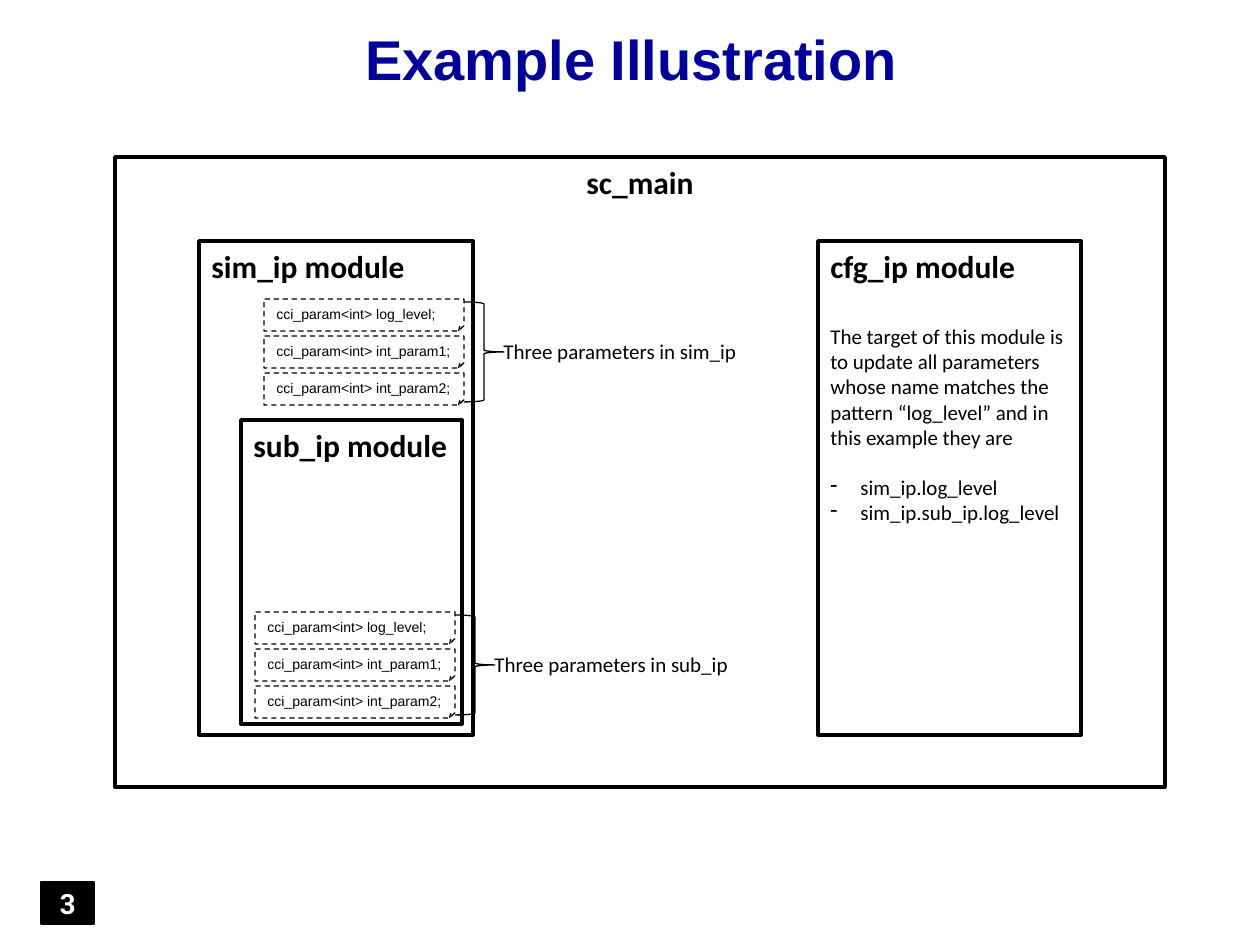
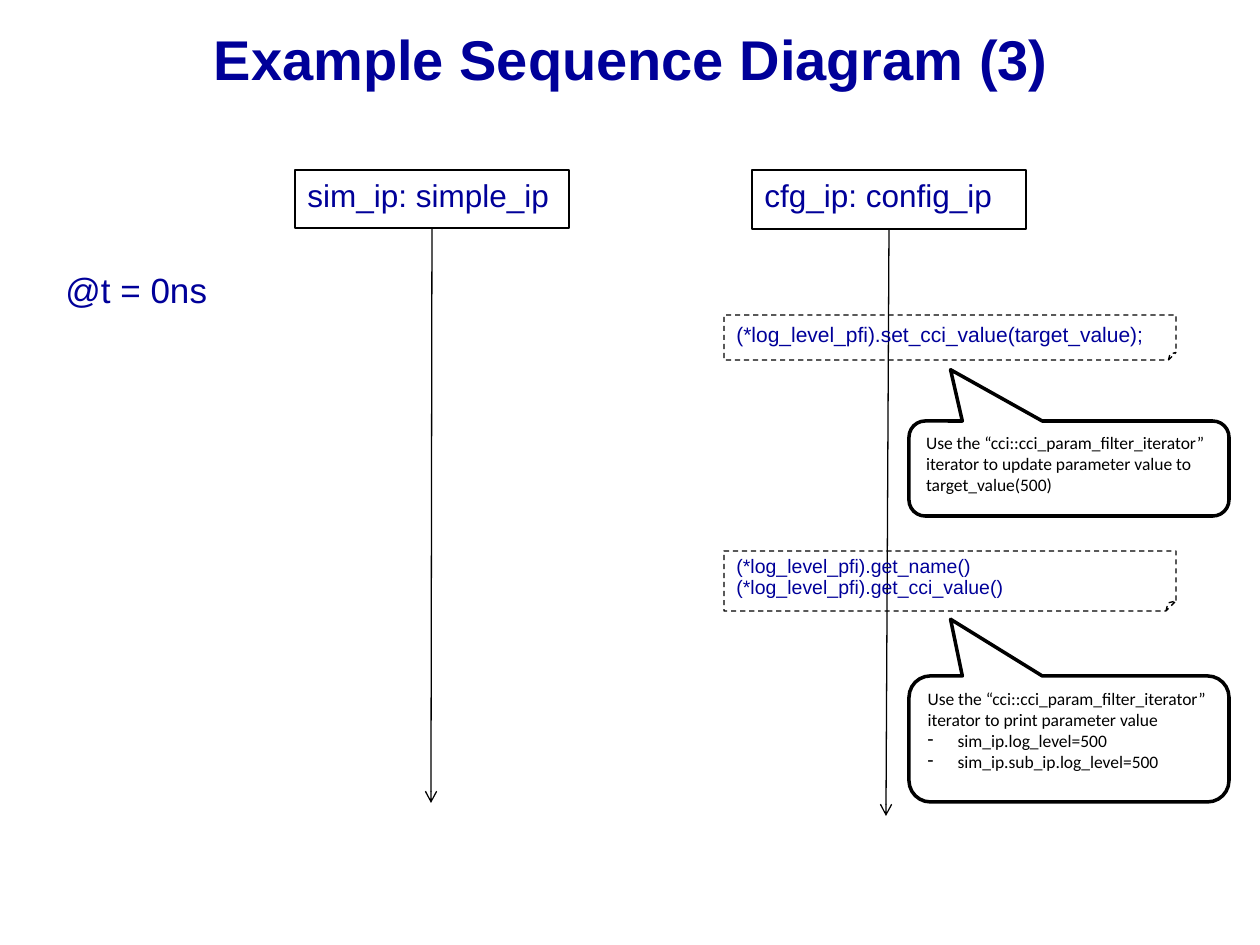
from dataclasses import dataclass

from lxml import etree
from pptx import Presentation
from pptx import util as u
from pptx.dml.color import RGBColor
from pptx.enum import dml, shapes, text
from pptx.oxml import ns

PX = u.Inches(1) / 126
KIND = shapes.MSO_SHAPE
LEFT, CENTER = text.PP_ALIGN.LEFT, text.PP_ALIGN.CENTER
TOP, MIDDLE = text.MSO_ANCHOR.TOP, text.MSO_ANCHOR.MIDDLE


@dataclass(frozen=True)
class Theme:
    navy: str = "000099"
    black: str = "000000"
    white: str = "FFFFFF"
    sans: str = "Arial"
    body: str = "Calibri"
    number: str = "Roboto Slab"
    title_pt: float = 32
    time_pt: float = 20
    heading_pt: float = 18
    number_pt: float = 16
    body_pt: float = 12
    calls_pt: float = 11.1
    callout_pt: float = 10
    code_pt: float = 8
    thin: float = 0.75
    thick: float = 2


T = Theme()


@dataclass(frozen=True)
class Style:
    size: float
    font: str = T.body
    color: str = T.black
    bold: bool = False
    spacing: float = 1


TITLE = Style(T.title_pt, T.sans, T.navy, True, 0.85)
NUMBER = Style(T.number_pt, T.number, T.white, True)
HEADING = Style(T.heading_pt, bold=True)
BODY = Style(T.body_pt)
CALLOUT = Style(T.callout_pt)
CODE = Style(T.code_pt, T.sans)
ACTOR = Style(T.heading_pt, T.sans, T.navy)
TIME = Style(T.time_pt, T.sans, T.navy)
CALL = Style(T.body_pt, T.sans, T.navy)
CALL_PAIR = Style(T.calls_pt, T.sans, T.navy, spacing=0.9)

# A paragraph is (text, style, bulleted, points of space before).
MODULES = [
    ((115, 157, 1050, 630), CENTER, [("sc_main", HEADING, False, 0)]),
    ((199, 241, 274, 494), LEFT, [("sim_ip module", HEADING, False, 0)]),
    ((818, 241, 263, 494), LEFT, [
        ("cfg_ip module", HEADING, False, 0),
        ("The target of this module is to update all parameters whose name "
         "matches the pattern “log_level” and in this example they are",
         BODY, False, 22),
        ("sim_ip.log_level", BODY, True, 14.4),
        ("sim_ip.sub_ip.log_level", BODY, True, 0),
    ]),
    ((241, 420, 221, 304), LEFT, [("sub_ip module", HEADING, False, 0)]),
]
PARAMETERS = ["log_level", "int_param1", "int_param2"]
PARAMETER_GROUPS = [("sim_ip", 264, 299), ("sub_ip", 255, 612)]

ACTORS = [
    ("sim_ip: simple_ip", (295, 170, 274, 58), (432, 228, 431, 803)),
    ("cfg_ip: config_ip", (752, 170, 274, 59), (889, 229, 886, 816)),
]
TIME_MARK = ("@t = 0ns", (53, 262, 180, 55))
STEPS = [
    {"calls": ["(*log_level_pfi).set_cci_value(target_value);"],
     "style": CALL, "call_y": (315, 45),
     "callout_y": (421, 95), "pointer": -1.04,
     "notes": [("Use the “cci::cci_param_filter_iterator” iterator to update "
                "parameter value to target_value(500)", CALLOUT, False, 0)]},
    {"calls": ["(*log_level_pfi).get_name()",
               "(*log_level_pfi).get_cci_value()"],
     "style": CALL_PAIR, "call_y": (551, 60),
     "callout_y": (676, 126), "pointer": -0.95,
     "notes": [("Use the “cci::cci_param_filter_iterator” iterator to print "
                "parameter value", CALLOUT, False, 0),
               ("sim_ip.log_level=500", CALLOUT, True, 0),
               ("sim_ip.sub_ip.log_level=500", CALLOUT, True, 0)]},
]
CALL_X, CALL_W = 724, 452
CALLOUT_X, CALLOUT_W = 909, 320


def emu(lengths):
    return [round(n * PX) for n in lengths]


def rgb(color):
    return RGBColor.from_string(color)


def add_bullet(paragraph, indent=30):
    props = paragraph._p.get_or_add_pPr()
    props.set("marL", str(round(indent * PX)))
    props.set("indent", str(-round(indent * PX)))
    etree.SubElement(props, ns.qn("a:buChar"), char="-")


def write(shape, paragraphs, align=LEFT, anchor=TOP):
    frame = shape.text_frame
    frame.word_wrap = True
    frame.vertical_anchor = anchor
    for i, (words, style, bulleted, before) in enumerate(paragraphs):
        para = frame.add_paragraph() if i else frame.paragraphs[0]
        if bulleted:
            add_bullet(para)
        para.alignment = align
        para.line_spacing = style.spacing
        if before:
            para.space_before = u.Pt(before)
        run = para.add_run()
        run.text = words
        run.font.size = u.Pt(style.size)
        run.font.name = style.font
        run.font.bold = style.bold
        run.font.color.rgb = rgb(style.color)


def add_label(slide, box, words, style, align=LEFT, anchor=TOP):
    label = slide.shapes.add_textbox(*emu(box))
    write(label, [(words, style, False, 0)], align, anchor)


def add_outline(slide, kind, box, fill=None, width=T.thin, adjust=()):
    shape = slide.shapes.add_shape(kind, *emu(box))
    shape.shadow.inherit = False
    for i, value in enumerate(adjust):
        shape.adjustments[i] = value
    if fill:
        shape.fill.solid()
        shape.fill.fore_color.rgb = rgb(fill)
    else:
        shape.fill.background()
    shape.line.color.rgb = rgb(T.black)
    shape.line.width = u.Pt(width)
    return shape


def add_code_note(slide, box, lines, style):
    note = add_outline(slide, KIND.FOLDED_CORNER, box)
    note.line.dash_style = dml.MSO_LINE.DASH
    write(note, [(line, style, False, 0) for line in lines])


def add_lifeline(slide, ends):
    line = slide.shapes.add_connector(shapes.MSO_CONNECTOR.STRAIGHT, *emu(ends))
    line.line.color.rgb = rgb(T.black)
    line.line.width = u.Pt(T.thin)
    etree.SubElement(line.line._get_or_add_ln(), ns.qn("a:tailEnd"), type="arrow")
    etree.SubElement(line._element.spPr, ns.qn("a:effectLst"))


def add_titled_slide(deck, title):
    slide = deck.slides.add_slide(deck.slide_layouts[6])
    add_label(slide, (33, 20, 1197, 86), title, TITLE, CENTER, MIDDLE)
    return slide


def add_parameter_group(slide, module, x, y, width=200, height=32, step=37):
    """Stack the parameter notes and brace them to a caption."""
    for i, name in enumerate(PARAMETERS):
        add_code_note(slide, (x, y + i * step, width, height),
                      [f"cci_param<int> {name};"], CODE)
    brace_x, brace_w = x + width, 40
    add_outline(slide, KIND.RIGHT_BRACE, (brace_x, y + 3, brace_w, 100),
                adjust=(0.05, 0.5))
    add_label(slide, (brace_x + brace_w - 13, y + 33, 270, 38),
              f"Three parameters in {module}", BODY)


def build_illustration(deck):
    slide = add_titled_slide(deck, "Example Illustration")
    number = add_outline(slide, KIND.RECTANGLE, (41, 882, 53, 42), T.black)
    write(number, [("3", NUMBER, False, 0)], CENTER, MIDDLE)
    for box, align, paragraphs in MODULES:
        module = add_outline(slide, KIND.RECTANGLE, box, T.white, T.thick)
        write(module, paragraphs, align)
    for group in PARAMETER_GROUPS:
        add_parameter_group(slide, *group)


def build_sequence(deck):
    slide = add_titled_slide(deck, "Example Sequence Diagram (3)")
    for name, box, lifeline in ACTORS:
        actor = add_outline(slide, KIND.RECTANGLE, box)
        write(actor, [(name, ACTOR, False, 0)])
        add_lifeline(slide, lifeline)
    mark, box = TIME_MARK
    add_label(slide, box, mark, TIME)
    for step in STEPS:
        top, height = step["call_y"]
        add_code_note(slide, (CALL_X, top, CALL_W, height),
                      step["calls"], step["style"])
        top, height = step["callout_y"]
        callout = add_outline(slide, KIND.ROUNDED_RECTANGULAR_CALLOUT,
                              (CALLOUT_X, top, CALLOUT_W, height), T.white,
                              T.thick, (-0.37, step["pointer"], 0.17))
        write(callout, step["notes"])


def main():
    deck = Presentation()
    deck.slide_width, deck.slide_height = emu((1260, 945))
    build_illustration(deck)
    build_sequence(deck)
    deck.save("out.pptx")


if __name__ == "__main__":
    main()
